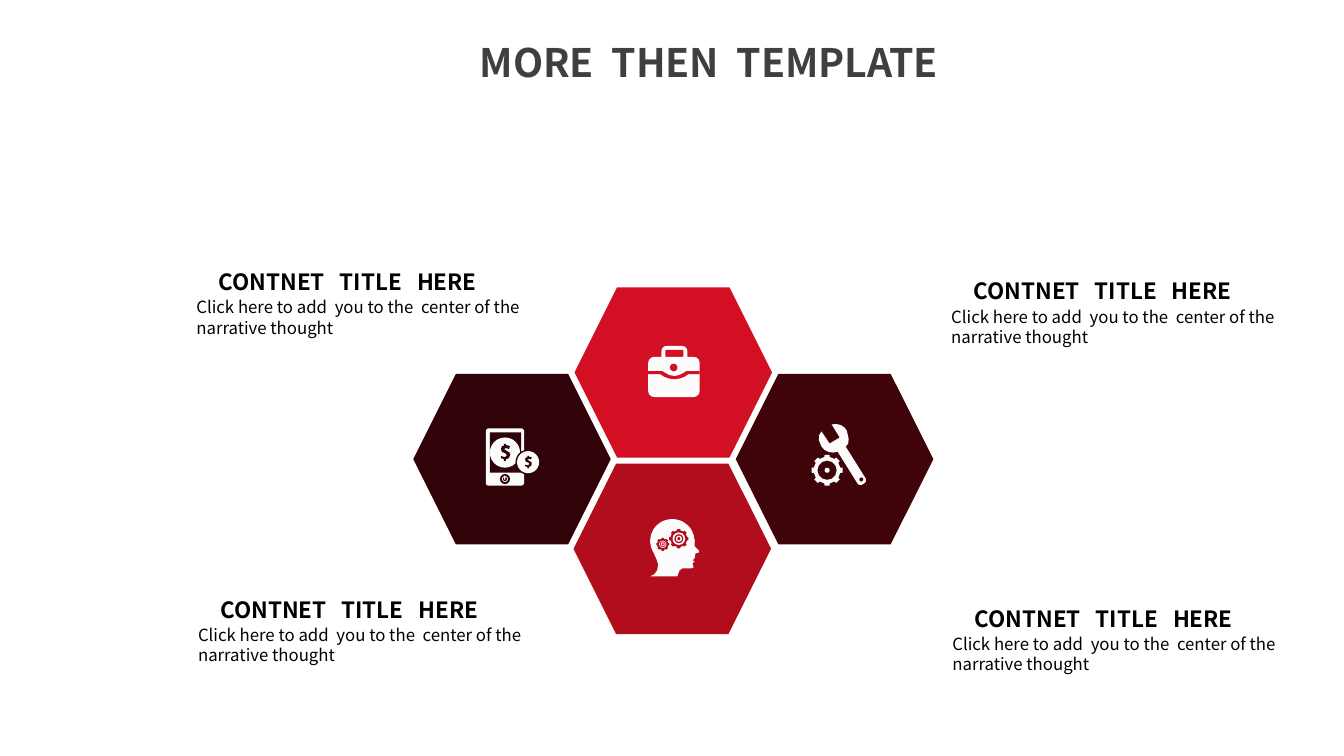
import math
from dataclasses import dataclass

import pptx
import pptx.dml.color
import pptx.enum.shapes
import pptx.enum.text
import pptx.util

Pt = pptx.util.Pt
Shape = pptx.enum.shapes.MSO_SHAPE
Point = tuple[float, float]


@dataclass(frozen=True)
class Theme:
    font: str = "Noto Sans CJK SC"
    title_size: float = 28
    heading_size: float = 16
    body_size: float = 12
    space_width: float = 0.224  # share of the type size
    title: str = "3F3F3F"
    text: str = "000000"
    icon: str = "FCFCFC"
    bright_red: str = "D20F23"
    red: str = "B10D1D"
    dark_red: str = "3E040A"
    darkest_red: str = "2F0307"


@dataclass(frozen=True)
class Block:
    """A preset shape of an icon; a cutout takes the hexagon's colour."""
    kind: Shape
    left: float
    top: float
    width: float
    height: float
    cutout: bool = False
    rounding: float = 0


@dataclass(frozen=True)
class Outline:
    points: list[Point]
    cutout: bool = False


@dataclass(frozen=True)
class Cell:
    left: float
    top: float
    color: str
    icon_left: float
    icon_top: float
    icon: list[Block | Outline]


@dataclass(frozen=True)
class Caption:
    left: float
    top: float


THEME = Theme()
SLIDE_SIZE = (960, 540)
HEXAGON_SIZE = (141.1, 121.7)
CAPTION_SIZE = (266.4, 58)
HEADING = ["CONTNET", "TITLE", "HERE"]
BODY = [["Click here to add", "you to the", "center of the"], ["narrative thought"]]
DOLLAR = [
    (1, 6.5), (1, 8.5), (-1, 8.5), (-1, 6.5), (-4, 5.5), (-4, 3.5), (0, 4.5), (2, 2.5),
    (0, 0.5), (-3, -0.5), (-4, -3.5), (-3, -6.5), (-1, -6.5), (-1, -8.5), (1, -8.5),
    (1, -7.5), (5, -6.5), (4, -3.5), (1, -4.5), (-1, -3.5), (2, -1.5), (5, 0.5),
    (5, 2.5), (4, 5.5),
]


def disc(x: float, y: float, radius: float, cutout: bool = False) -> Block:
    return Block(Shape.OVAL, x - radius, y - radius, 2 * radius, 2 * radius, cutout)


def rings(x: float, y: float, radii: list[float]) -> list[Block]:
    """Concentric discs, alternately solid and cut out."""
    return [disc(x, y, radius, i % 2 == 1) for i, radius in enumerate(radii)]


def gear(x: float, y: float, radius: float, cutout: bool = False) -> Outline:
    """A wheel with eight teeth."""
    profile = [(-0.2, 0.86), (-0.16, 1), (0.16, 1), (0.2, 0.86)]
    return Outline([
        (x + radius * reach * math.cos(tooth * math.pi / 4 + turn),
         y + radius * reach * math.sin(tooth * math.pi / 4 + turn))
        for tooth in range(8) for turn, reach in profile
    ], cutout)


def coin(x: float, y: float, radius: float) -> list[Block | Outline]:
    scale = radius / 15
    sign = [(x + dx * scale, y + dy * scale) for dx, dy in DOLLAR]
    return [disc(x, y, radius), Outline(sign, True)]


BRIEFCASE = [
    Block(Shape.ROUNDED_RECTANGLE, 9.4, 0, 18.7, 14, rounding=0.28),
    Block(Shape.ROUNDED_RECTANGLE, 12.2, 2.9, 13, 5.1, True, 0.2),
    Block(Shape.ROUNDED_RECTANGLE, 0, 7.9, 36.8, 28.8, rounding=0.15),
    Outline([(0, 18), (10, 18), (12.2, 19.4), (15.1, 20.9), (18.7, 21.6), (22.3, 20.9),
             (25.2, 19.4), (27.4, 18), (36.8, 18), (36.8, 20.2), (28.8, 20.2),
             (25.9, 22.1), (22.3, 23.4), (18.7, 23.8), (15.1, 23.4), (11.5, 22.1),
             (8.6, 20.2), (0, 20.2)], True),
    disc(18.2, 15.5, 2.7, True),
]
PHONE = [
    Block(Shape.ROUNDED_RECTANGLE, 0, 0, 27.4, 41, rounding=0.08),
    Block(Shape.RECTANGLE, 2.9, 2.9, 22.3, 28.8, True),
    disc(13.7, 36.2, 3.6, True),
    *rings(13.7, 36.2, [2.1, 1.4]),
    Block(Shape.RECTANGLE, 13.2, 33.8, 0.9, 2.9),
    *coin(13.7, 17.3, 10.8),
    disc(30.2, 24.1, 9, True),
    *coin(30.2, 24.1, 7.9),
]
TOOLS = [
    Outline([(38.9, 39.6), (24.5, 16.6), (26.3, 14.4), (26.6, 11), (25.2, 5), (23.4, 2.8),
             (20.9, 1.2), (18, 0.5), (14.4, 0.7), (20.2, 10.1), (13, 14.4), (7.2, 5.8),
             (5.6, 8.2), (5.3, 12), (7.2, 16.6), (9.4, 19), (12.2, 20.4), (15.6, 20.9),
             (18.7, 20.2), (33.1, 43.2), (34.4, 44), (36, 43.9), (38.2, 42.5), (39, 41.2)]),
    disc(35.6, 40.1, 1.4, True),
    gear(11.2, 33.5, 11.2),
    disc(11.2, 33.5, 6.8, True),
    disc(11.2, 33.5, 1.8),
]
HEAD = [
    Block(Shape.OVAL, 0, 0, 31.7, 31),
    Outline([(0, 15.8), (1.4, 21.6), (4.3, 28.1), (5.8, 32.4), (5, 36.7), (3, 39.4),
             (0, 41), (19.4, 41), (20.9, 36.7), (23, 35.3), (28.8, 35.3), (31, 34.6),
             (30.2, 31.7), (31.7, 30.2), (30.2, 29.5), (31.7, 28.1), (32.4, 24.5),
             (35, 23.8), (34.6, 22.3), (31.7, 19.4), (31.7, 14.4)]),
    gear(20.5, 14, 7, True),
    *rings(20.5, 14, [4.5, 3.2, 2.2, 1.1]),
    gear(9, 18, 4.7, True),
    *rings(9, 18, [2.6, 2, 1.4, 0.7]),
]
CELLS = [
    Cell(410.4, 205.2, THEME.bright_red, 463, 247, BRIEFCASE),
    Cell(525.6, 267.1, THEME.dark_red, 579.6, 302.4, TOOLS),
    Cell(409.7, 331.2, THEME.red, 464.4, 370.8, HEAD),
    Cell(295.2, 267.1, THEME.darkest_red, 347, 306, PHONE),
]
CAPTIONS = [Caption(133.2, 188), Caption(134.4, 422), Caption(672.4, 194.5), Caption(673.2, 428.5)]


def paint(shape, color: str) -> None:
    shape.shadow.inherit = False
    shape.fill.solid()
    shape.fill.fore_color.rgb = pptx.dml.color.RGBColor.from_string(color)
    shape.line.fill.background()


def draw_piece(shapes, piece: Block | Outline, cell: Cell) -> None:
    x, y = cell.icon_left, cell.icon_top
    if isinstance(piece, Block):
        shape = shapes.add_shape(piece.kind, Pt(x + piece.left), Pt(y + piece.top),
                                 Pt(piece.width), Pt(piece.height))
        if piece.rounding:
            shape.adjustments[0] = piece.rounding
    else:
        corners = [(Pt(x + px), Pt(y + py)) for px, py in piece.points]
        builder = shapes.build_freeform(*corners[0])
        builder.add_line_segments(corners[1:])
        shape = builder.convert_to_shape()
    paint(shape, cell.color if piece.cutout else THEME.icon)


def draw_cell(shapes, cell: Cell) -> None:
    paint(shapes.add_shape(Shape.HEXAGON, Pt(cell.left), Pt(cell.top), *map(Pt, HEXAGON_SIZE)),
          cell.color)
    for piece in cell.icon:
        draw_piece(shapes, piece, cell)


def write(paragraph, phrases: list[str], size: float, color: str, bold: bool, gap: int) -> None:
    """Set phrases on one line, parted by a space tracked out to the width of gap spaces."""
    paragraph.alignment = pptx.enum.text.PP_ALIGN.LEFT
    for i, phrase in enumerate(phrases):
        if i:
            space = paragraph.add_run()
            space.text = " "
            tracking = (gap - 1) * THEME.space_width * size
            space._r.get_or_add_rPr().set("spc", str(round(tracking * 100)))
        paragraph.add_run().text = phrase
    paragraph.font.name = THEME.font
    paragraph.font.size = Pt(size)
    paragraph.font.bold = bold
    paragraph.font.color.rgb = pptx.dml.color.RGBColor.from_string(color)


def draw_caption(shapes, caption: Caption) -> None:
    frame = shapes.add_textbox(Pt(caption.left), Pt(caption.top), *map(Pt, CAPTION_SIZE)).text_frame
    frame.word_wrap = True
    heading = frame.paragraphs[0]
    heading._p.get_or_add_pPr().set("marL", str(Pt(16)))
    write(heading, HEADING, THEME.heading_size, THEME.text, True, 3)
    for i, phrases in enumerate(BODY):
        line = frame.add_paragraph()
        line.space_before = Pt(0 if i else 1.6)
        write(line, phrases, THEME.body_size, THEME.text, False, 2)


def draw_title(title) -> None:
    title.left, title.top, title.width, title.height = map(Pt, (335.5, 23.5, 373, 42))
    frame = title.text_frame
    frame.auto_size = pptx.enum.text.MSO_AUTO_SIZE.NONE
    frame.vertical_anchor = pptx.enum.text.MSO_ANCHOR.TOP
    write(frame.paragraphs[0], ["MORE", "THEN", "TEMPLATE"], THEME.title_size, THEME.title, True, 2)


def main() -> None:
    deck = pptx.Presentation()
    deck.slide_width, deck.slide_height = map(Pt, SLIDE_SIZE)
    slide = deck.slides.add_slide(deck.slide_layouts[5])
    draw_title(slide.shapes.title)
    for cell in CELLS:
        draw_cell(slide.shapes, cell)
    for caption in CAPTIONS:
        draw_caption(slide.shapes, caption)
    deck.save("out.pptx")


if __name__ == "__main__":
    main()
